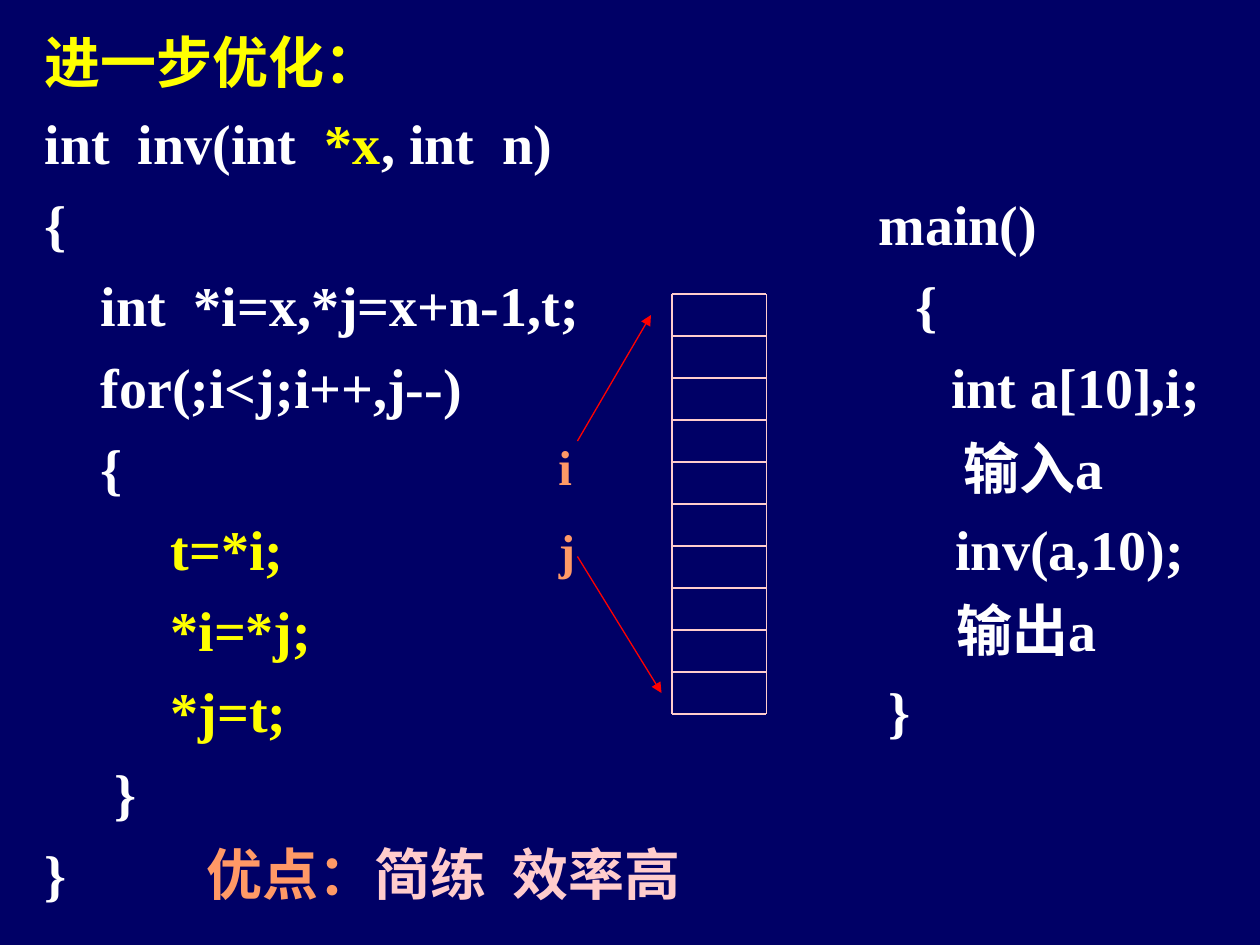
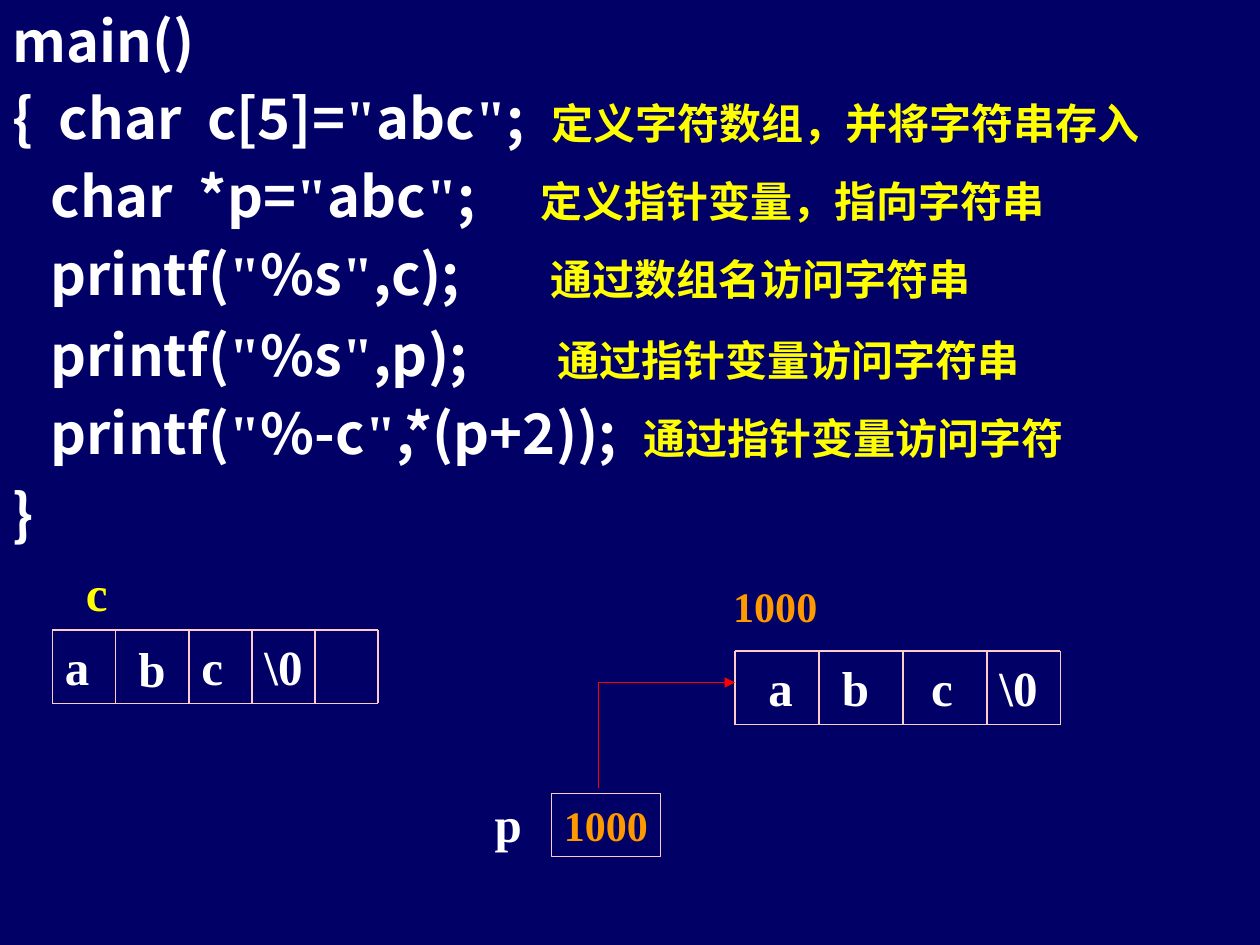
"""Build two slides on C pointers: in-place array reversal and string access."""
from dataclasses import dataclass
from typing import Any

import lxml.etree
import pptx
import pptx.dml.color
import pptx.enum.shapes
import pptx.enum.text
import pptx.oxml.ns
import pptx.util

Pt = pptx.util.Pt
qn = pptx.oxml.ns.qn
SERIF = "Times New Roman"
SANS = "Noto Sans CJK SC"
COLORS = {
    "navy": "000066",
    "white": "FFFFFF",
    "yellow": "FFFF00",
    "coral": "FF9966",
    "pink": "FFCCCC",
    "orange": "FF9900",
    "red": "FF0000",
}


@dataclass(frozen=True)
class Span:
    text: str
    color: str = "white"
    font: str = SERIF
    size: float = 32


@dataclass(frozen=True)
class Line:
    spans: list[Span]
    tabs: tuple[float, ...] = ()
    before: float = 8


@dataclass(frozen=True)
class Label:
    text: str
    x: float
    y: float
    width: float
    color: str = "white"
    size: float = 28
    framed: bool = False


@dataclass(frozen=True)
class Arrow:
    x1: float
    y1: float
    x2: float
    y2: float
    head: bool = True


def rgb(color: str) -> pptx.dml.color.RGBColor:
    return pptx.dml.color.RGBColor.from_string(COLORS[color])


def new_slide(prs: Any) -> Any:
    s = prs.slides.add_slide(prs.slide_layouts[6])
    s.background.fill.solid()
    s.background.fill.fore_color.rgb = rgb("navy")
    return s


def format_run(r: Any, span: Span) -> None:
    r.font.size = Pt(span.size)
    r.font.bold = True
    r.font.name = span.font
    r.font.color.rgb = rgb(span.color)
    ea = lxml.etree.SubElement(r.font._element, qn("a:ea"))
    ea.set("typeface", SANS)


def add_code(s: Any, x: float, y: float, width: float, height: float,
             lines: list[Line]) -> None:
    tf = s.shapes.add_textbox(Pt(x), Pt(y), Pt(width), Pt(height)).text_frame
    tf.word_wrap = True
    for i, line in enumerate(lines):
        p = tf.add_paragraph() if i else tf.paragraphs[0]
        p.line_spacing = Pt(38.4)
        p.space_before = Pt(line.before if i else 0)
        if line.tabs:
            tab_list = lxml.etree.SubElement(p._p.get_or_add_pPr(), qn("a:tabLst"))
            for pos in line.tabs:
                lxml.etree.SubElement(tab_list, qn("a:tab"), pos=str(Pt(pos)), algn="l")
        for span in line.spans:
            r = p.add_run()
            r.text = span.text
            format_run(r, span)


def add_label(s: Any, label: Label) -> None:
    box = Pt(label.x), Pt(label.y), Pt(label.width), Pt(36 if label.size == 24 else 41)
    if label.framed:
        sp = s.shapes.add_shape(pptx.enum.shapes.MSO_SHAPE.RECTANGLE, *box)
        sp.shadow.inherit = False
        sp.fill.background()
        sp.line.color.rgb = rgb("pink")
        sp.line.width = Pt(0.75)
    else:
        sp = s.shapes.add_textbox(*box)
    tf = sp.text_frame
    tf.word_wrap = False
    tf.vertical_anchor = pptx.enum.text.MSO_ANCHOR.TOP
    tf.text = label.text
    p = tf.paragraphs[0]
    p.alignment = pptx.enum.text.PP_ALIGN.CENTER
    format_run(p.runs[0], Span(label.text, label.color, size=label.size))


def add_line(s: Any, a: Arrow, color: str) -> None:
    kind = pptx.enum.shapes.MSO_CONNECTOR.STRAIGHT
    c = s.shapes.add_connector(kind, Pt(a.x1), Pt(a.y1), Pt(a.x2), Pt(a.y2))
    c.line.color.rgb = rgb(color)
    c.line.width = Pt(0.75)
    sp_pr = c._element.spPr
    if a.head:
        lxml.etree.SubElement(sp_pr.find(qn("a:ln")), qn("a:tailEnd"), type="triangle")
    lxml.etree.SubElement(sp_pr, qn("a:effectLst"))


def add_grid(s: Any, xs: list[float], ys: list[float]) -> None:
    for x in xs:
        add_line(s, Arrow(x, ys[0], x, ys[-1], head=False), "pink")
    for y in ys:
        add_line(s, Arrow(xs[0], y, xs[-1], y, head=False), "pink")


def printed(code: str, note: str = "", tab: float = 0, before: float = 6) -> Line:
    spans = []
    for i, part in enumerate(code.split('"')):
        if i:
            spans.append(Span('"'))
        spans.append(Span(part, font=SANS))
    if note:
        spans.append(Span("\t" + note, "yellow", SANS, 24))
    return Line(spans, (tab,) if note else (), before)


def build_reversal(prs: Any) -> None:
    s = new_slide(prs)
    indent = " " * 9
    add_code(s, 18.4, 12, 690, 522, [
        Line([Span("进一步优化：", "yellow")]),
        Line([Span("int  inv(int  "), Span("*x", "yellow"), Span(", int  n)")]),
        Line([Span("{\tmain()")], (476.5,)),
        Line([Span("    int  *i=x,*j=x+n-1,t;\t{")], (497.5,)),
        Line([Span("    for(;i<j;i++,j--)\tint a[10],i;")], (518,)),
        Line([Span("    {\t输入a")], (525,)),
        Line([Span(indent + "t=*i;", "yellow"), Span("\tinv(a,10);")], (520.5,)),
        Line([Span(indent + "*i=*j;", "yellow"), Span("\t输出a")], (521,)),
        Line([Span(indent + "*j=t;", "yellow"), Span("\t}")], (482,)),
        Line([Span("     }")]),
        Line([Span("}"), Span("\t优点：", "coral", SANS),
              Span("简练\t效率高", "pink", SANS)], (92.5, 267.5)),
    ])
    add_grid(s, [384, 438], [168 + 24 * i for i in range(11)])
    add_label(s, Label("i", 312, 246, 22, "coral"))
    add_label(s, Label("j", 312, 294, 24, "coral"))
    for arrow in (Arrow(330, 252, 372, 180), Arrow(330, 318, 378, 396)):
        add_line(s, arrow, "red")


def build_strings(prs: Any) -> None:
    s = new_slide(prs)
    add_code(s, 0, 0, 720, 540, [
        printed("main()"),
        printed('{  char  c[5]="abc";', "定义字符数组，并将字符串存入", 308),
        printed('   char  *p="abc";', "定义指针变量，指向字符串", 302),
        printed('   printf("%s",c);', "通过数组名访问字符串", 307.5),
        printed('   printf("%s",p);', "通过指针变量访问字符串", 311.5, before=8),
        printed('   printf("%-c",*(p+2));', "通过指针变量访问字符", 360.5),
        printed("}", before=8),
    ])
    add_grid(s, [30, 66, 108, 144, 180, 216], [360, 402])
    add_grid(s, [420, 468, 516, 564, 606], [372, 414])
    for label in (
        Label("c", 42, 318, 26.5, "yellow"),
        Label("a", 30, 360, 28),
        Label("b", 72, 361.5, 29.5),
        Label("c", 108, 360, 26.5),
        Label("\\0", 144, 360, 36),
        Label("a", 432, 372, 28),
        Label("b", 474, 372, 29.5),
        Label("c", 525, 372, 26.5),
        Label("\\0", 564, 372, 36),
        Label("1000", 408, 328, 70, "orange", 24),
        Label("1000", 315, 453.5, 62.5, "orange", 24, framed=True),
        Label("p", 275.5, 450, 29.5),
    ):
        add_label(s, label)
    for arrow in (Arrow(342, 450, 342, 390, head=False), Arrow(342, 390, 420, 390)):
        add_line(s, arrow, "red")


def main() -> None:
    prs = pptx.Presentation()
    prs.slide_width, prs.slide_height = Pt(720), Pt(540)
    build_reversal(prs)
    build_strings(prs)
    prs.save("out.pptx")


if __name__ == "__main__":
    main()
